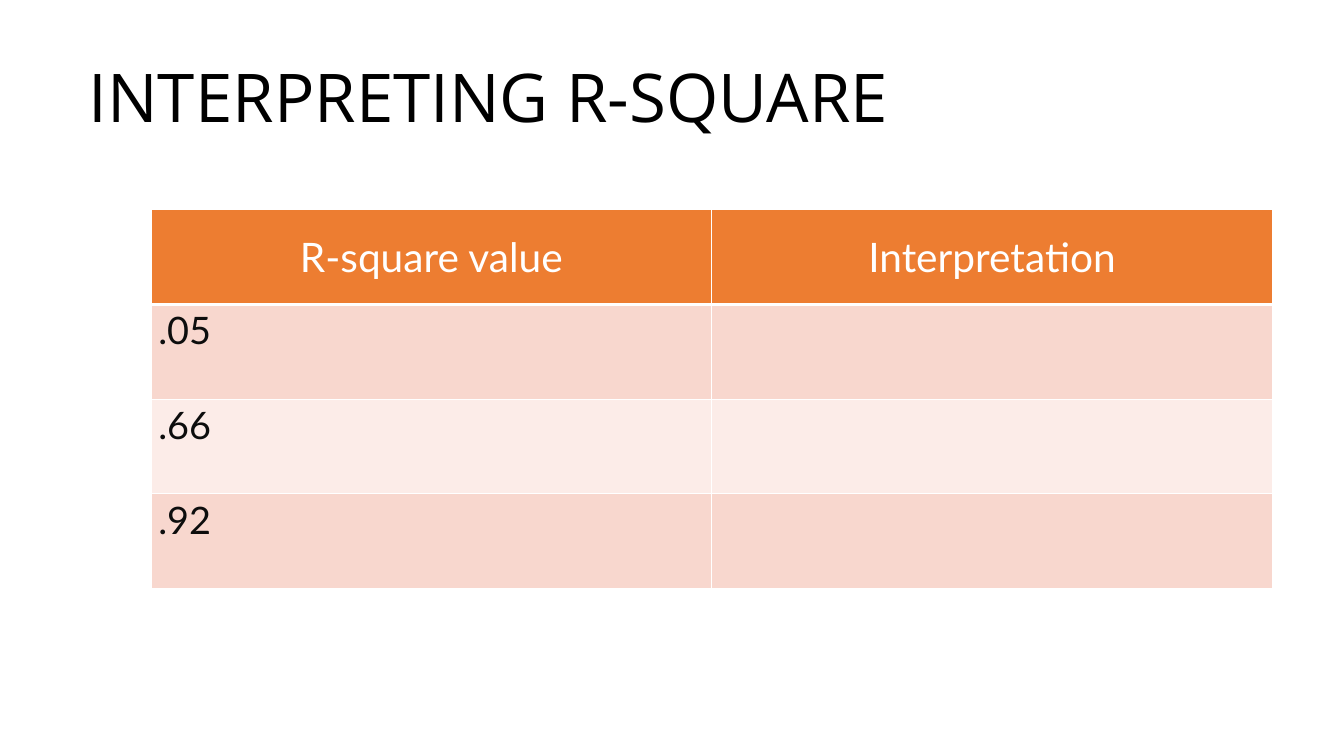
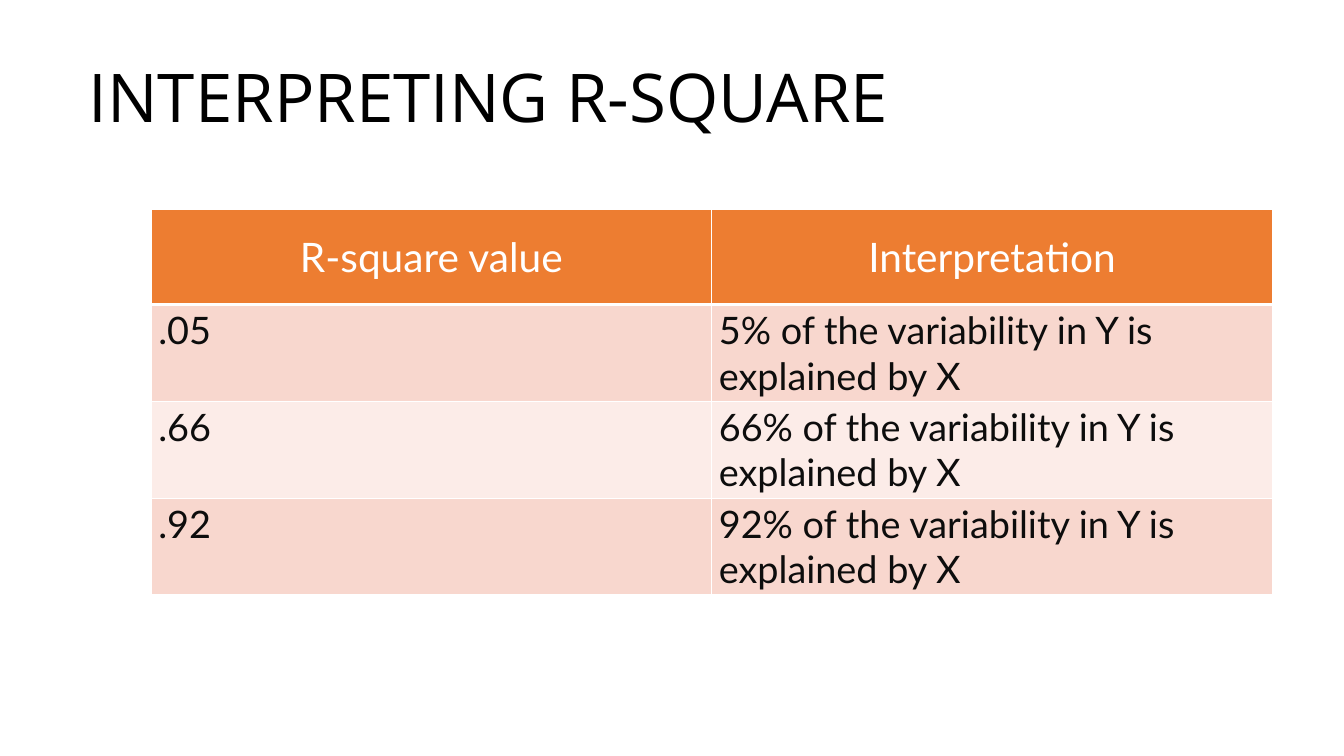
from dataclasses import dataclass

from lxml.etree import SubElement
from pptx import Presentation
from pptx.dml.color import RGBColor
from pptx.enum.text import MSO_ANCHOR, MSO_AUTO_SIZE, PP_ALIGN
from pptx.oxml.ns import qn
from pptx.slide import Slide
from pptx.table import _Cell
from pptx.text.text import _Paragraph
from pptx.util import Inches, Pt


@dataclass(frozen=True)
class Theme:
    background: str = "FFFFFF"
    title_color: str = "000000"
    header_fill: str = "ED7D31"
    header_color: str = "FFFFFF"
    body_color: str = "0D0D0D"
    bands: tuple[str, str] = ("F8D7CE", "FCECE8")
    border: str = "FFFFFF"
    title_font: str = "Open Sans"
    table_font: str = "Lato"
    title_size: float = 48
    title_leading: float = 67.2
    header_size: float = 29
    body_size: float = 27
    border_width: float = 1
    header_rule: float = 3


@dataclass(frozen=True)
class Finding:
    r_square: str
    interpretation: str = ""


@dataclass(frozen=True)
class Lesson:
    findings: tuple[Finding, ...]
    row_height: float


THEME = Theme()
TITLE = "INTERPRETING R-SQUARE"
HEADERS = ("R-square value", "Interpretation")
HEADER_HEIGHT = 0.94
COLUMN_WIDTH = 5.56
PERCENTAGES = (5, 66, 92)

LESSONS = (
    Lesson(tuple(Finding(f".{percent:02d}") for percent in PERCENTAGES), 0.94),
    Lesson(
        tuple(
            Finding(f".{percent:02d}", f"{percent}% of the variability in Y is explained by X")
            for percent in PERCENTAGES
        ),
        0.96,
    ),
)


def style_paragraph(paragraph: _Paragraph, family: str, size: float, color: str) -> None:
    paragraph.font.name = family
    paragraph.font.size = Pt(size)
    paragraph.font.bold = False
    paragraph.font.color.rgb = RGBColor.from_string(color)


def add_borders(cell: _Cell, bottom_width: float) -> None:
    properties = cell._tc.get_or_add_tcPr()
    for side in "LRTB":
        width = bottom_width if side == "B" else THEME.border_width
        line = SubElement(properties, qn(f"a:ln{side}"), w=str(Pt(width)))
        SubElement(SubElement(line, qn("a:solidFill")), qn("a:srgbClr"), val=THEME.border)


def fill_cell(cell: _Cell, text: str, fill: str, is_header: bool) -> None:
    add_borders(cell, THEME.header_rule if is_header else THEME.border_width)
    cell.fill.solid()
    cell.fill.fore_color.rgb = RGBColor.from_string(fill)
    cell.margin_left = cell.margin_right = Inches(0.07)
    cell.margin_top = cell.margin_bottom = Inches(0.03)
    cell.vertical_anchor = MSO_ANCHOR.MIDDLE if is_header else MSO_ANCHOR.TOP
    cell.text = text
    paragraph = cell.text_frame.paragraphs[0]
    paragraph.alignment = PP_ALIGN.CENTER if is_header else PP_ALIGN.LEFT
    size = THEME.header_size if is_header else THEME.body_size
    color = THEME.header_color if is_header else THEME.body_color
    style_paragraph(paragraph, THEME.table_font, size, color)


def add_title(slide: Slide) -> None:
    frame = slide.shapes.add_textbox(
        Inches(0.88), Inches(0.42), Inches(9.34), Inches(0.86)
    ).text_frame
    frame.word_wrap = True
    frame.auto_size = MSO_AUTO_SIZE.SHAPE_TO_FIT_TEXT
    frame.margin_left = frame.margin_right = Inches(0)
    frame.margin_top = frame.margin_bottom = Inches(0)
    frame.text = TITLE
    paragraph = frame.paragraphs[0]
    paragraph.line_spacing = Pt(THEME.title_leading)
    style_paragraph(paragraph, THEME.title_font, THEME.title_size, THEME.title_color)


def add_findings(slide: Slide, lesson: Lesson) -> None:
    rows = [HEADERS] + [(f.r_square, f.interpretation) for f in lesson.findings]
    table = slide.shapes.add_table(
        len(rows),
        len(HEADERS),
        Inches(1.5),
        Inches(2.08),
        Inches(COLUMN_WIDTH * len(HEADERS)),
        Inches(HEADER_HEIGHT + lesson.row_height * len(lesson.findings)),
    ).table
    for column in table.columns:
        column.width = Inches(COLUMN_WIDTH)
    for index, texts in enumerate(rows):
        is_header = index == 0
        table.rows[index].height = Inches(HEADER_HEIGHT if is_header else lesson.row_height)
        fill = THEME.header_fill if is_header else THEME.bands[(index - 1) % 2]
        for position, text in enumerate(texts):
            fill_cell(table.cell(index, position), text, fill, is_header)


def main() -> None:
    deck = Presentation()
    deck.slide_width = Inches(13.33)
    deck.slide_height = Inches(7.5)
    backdrop = deck.slide_master.background.fill
    backdrop.solid()
    backdrop.fore_color.rgb = RGBColor.from_string(THEME.background)
    for lesson in LESSONS:
        slide = deck.slides.add_slide(deck.slide_layouts[6])
        add_title(slide)
        add_findings(slide, lesson)
    deck.save("out.pptx")


if __name__ == "__main__":
    main()
